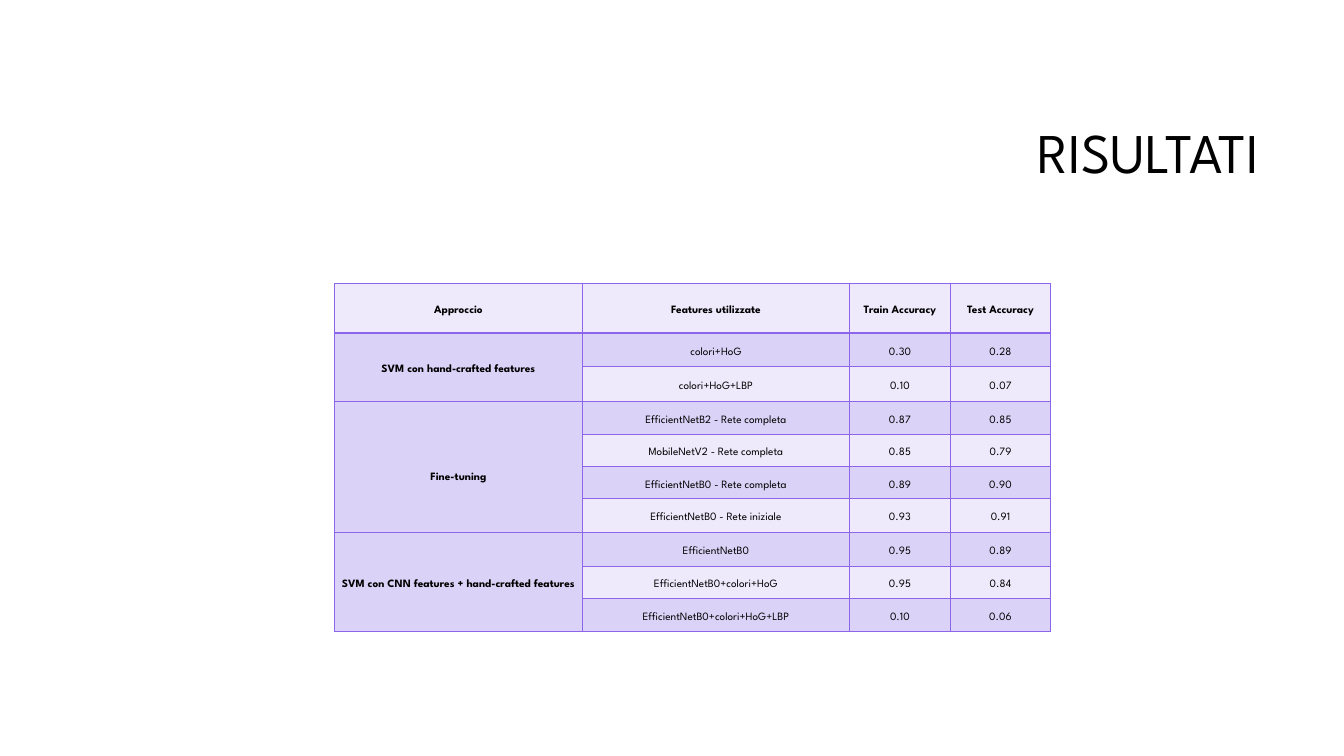
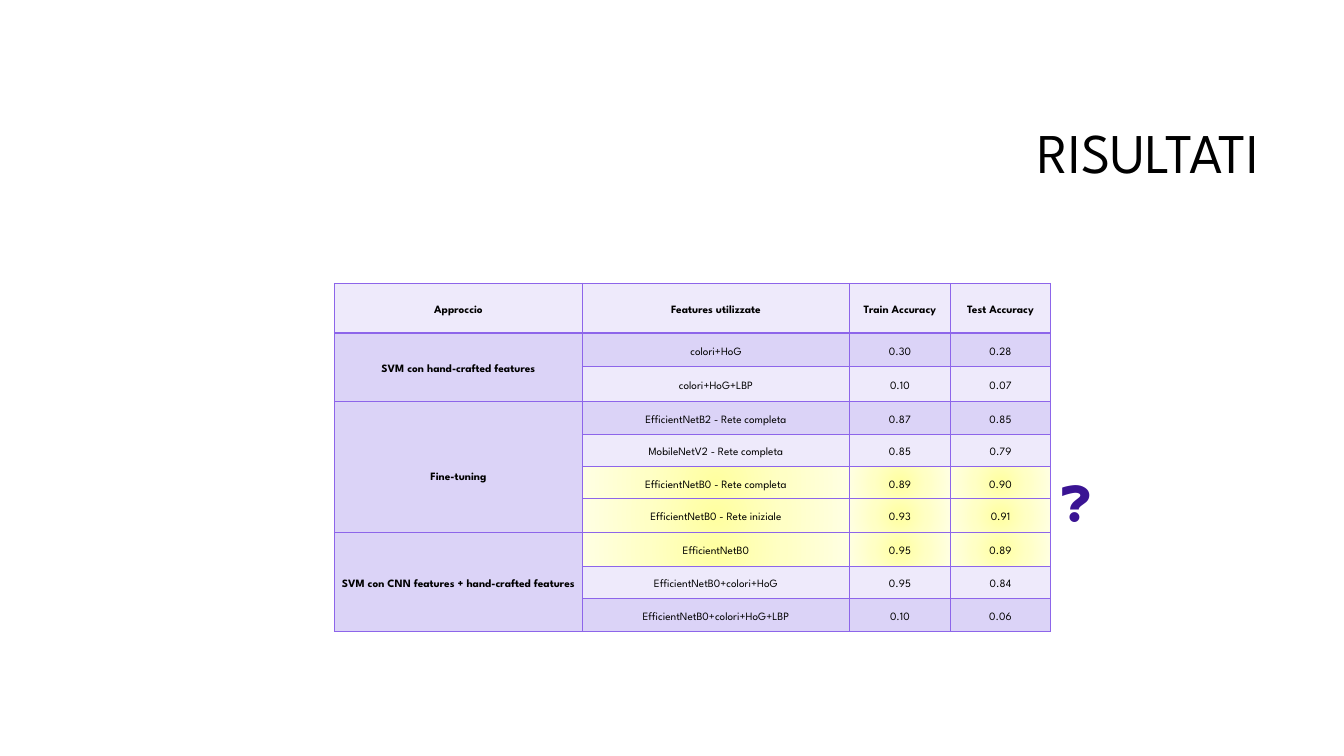
"""Build two slides of model results, the second with the best rows marked."""
from dataclasses import dataclass

from pptx import Presentation
from pptx.dml.color import RGBColor
from pptx.enum.text import MSO_ANCHOR, PP_ALIGN
from pptx.oxml import parse_xml
from pptx.oxml.ns import nsdecls
from pptx.presentation import Presentation as Deck
from pptx.slide import Slide
from pptx.table import _Cell as Cell
from pptx.text.text import TextFrame
from pptx.util import Cm, Pt

FONT = "League Spartan"
COLORS = {
    "page": "FFFFFF",
    "ink": "000000",
    "light": "EEEAFB",
    "band": "DBD3F7",
    "line": "8D65EA",
    "query": "3A1493",
    "core": "FFFFA0",
    "glow": "FFFFC5",
    "rim": "FFFFE3",
}
HEADS = ("Approccio", "Features utilizzate", "Train Accuracy", "Test Accuracy")
WIDTHS = (6.25, 6.73, 2.54, 2.53)
HEIGHTS = (1.25, 0.85, 0.87, 0.84, 0.81, 0.81, 0.85, 0.85, 0.81, 0.84)
BEST = frozenset({5, 6, 7})


@dataclass(frozen=True)
class Group:
    name: str
    rows: tuple[tuple[str, str, str], ...]
    drop: float = 0


GROUPS = (
    Group("SVM con hand-crafted features", (
        ("colori+HoG", "0.30", "0.28"),
        ("colori+HoG+LBP", "0.10", "0.07"),
    )),
    Group("Fine-tuning", (
        ("EfficientNetB2 - Rete completa", "0.87", "0.85"),
        ("MobileNetV2 - Rete completa", "0.85", "0.79"),
        ("EfficientNetB0 - Rete completa", "0.89", "0.90"),
        ("EfficientNetB0 - Rete iniziale", "0.93", "0.91"),
    ), drop=0.42),
    Group("SVM con CNN features + hand-crafted features", (
        ("EfficientNetB0", "0.95", "0.89"),
        ("EfficientNetB0+colori+HoG", "0.95", "0.84"),
        ("EfficientNetB0+colori+HoG+LBP", "0.10", "0.06"),
    )),
)


def write(frame: TextFrame, text: str, *, size: float, color: str = "ink",
          bold: bool = False, align: PP_ALIGN = PP_ALIGN.CENTER,
          space: float = 1.0) -> None:
    frame.word_wrap = True
    para = frame.paragraphs[0]
    para.alignment = align
    para.line_spacing = space
    run = para.add_run()
    run.text = text
    run.font.name = FONT
    run.font.size = Pt(size)
    run.font.bold = bold
    run.font.color.rgb = RGBColor.from_string(COLORS[color])


def add_text(slide: Slide, box: tuple[float, float, float, float],
             text: str, anchor: MSO_ANCHOR, **form) -> None:
    frame = slide.shapes.add_textbox(*map(Cm, box)).text_frame
    frame.vertical_anchor = anchor
    write(frame, text, **form)


def paint(cell: Cell, fill: str) -> None:
    props = cell._tc.get_or_add_tcPr()
    for side in ("lnL", "lnR", "lnT", "lnB"):
        props.append(parse_xml(
            f'<a:{side} {nsdecls("a")} w="{Pt(1)}"><a:solidFill>'
            f'<a:srgbClr val="{COLORS["line"]}"/></a:solidFill></a:{side}>'))
    if fill == "mark":
        stops = "".join(
            f'<a:gs pos="{pos}"><a:srgbClr val="{COLORS[name]}"/></a:gs>'
            for pos, name in ((0, "core"), (50000, "glow"), (100000, "rim")))
        props.append(parse_xml(
            f'<a:gradFill {nsdecls("a")}><a:gsLst>{stops}</a:gsLst>'
            '<a:path path="circle"><a:fillToRect l="50000" t="50000" '
            'r="50000" b="50000"/></a:path></a:gradFill>'))
    else:
        cell.fill.solid()
        cell.fill.fore_color.rgb = RGBColor.from_string(COLORS[fill])


def fill_cell(cell: Cell, text: str, fill: str, bold: bool = False,
              drop: float = 0) -> None:
    cell.margin_left = cell.margin_right = Cm(0.18)
    cell.margin_top, cell.margin_bottom = Cm(drop), 0
    cell.vertical_anchor = MSO_ANCHOR.MIDDLE
    paint(cell, fill)
    if text:
        write(cell.text_frame, text, size=8, bold=bold, space=1.5)


def add_grid(slide: Slide, marks: frozenset[int]) -> None:
    table = slide.shapes.add_table(
        len(HEIGHTS), len(WIDTHS), Cm(8.43), Cm(7.14),
        Cm(sum(WIDTHS)), Cm(sum(HEIGHTS))).table
    table.first_row = table.horz_banding = False
    for col, width in zip(table.columns, WIDTHS):
        col.width = Cm(width)
    for row, height in zip(table.rows, HEIGHTS):
        row.height = Cm(height)
    for col, head in enumerate(HEADS):
        fill_cell(table.cell(0, col), head, "light", bold=True)
    top = 1
    for group in GROUPS:
        for row, values in enumerate(group.rows, top):
            name = group.name if row == top else ""
            fill_cell(table.cell(row, 0), name, "band", True, group.drop)
            fill = "mark" if row in marks else "band" if row % 2 else "light"
            for col, value in enumerate(values, 1):
                fill_cell(table.cell(row, col), value, fill)
        last = top + len(group.rows) - 1
        table.cell(top, 0).merge(table.cell(last, 0))
        top = last + 1


def add_page(deck: Deck, marks: frozenset[int] = frozenset()) -> Slide:
    slide = deck.slides.add_slide(deck.slide_layouts[6])
    back = slide.background.fill
    back.solid()
    back.fore_color.rgb = RGBColor.from_string(COLORS["page"])
    add_text(slide, (8.05, 2.13, 23.93, 3.58), "RISULTATI", MSO_ANCHOR.MIDDLE,
             size=40, align=PP_ALIGN.RIGHT, space=0.9)
    add_grid(slide, marks)
    return slide


def main() -> None:
    deck = Presentation()
    deck.slide_width, deck.slide_height = Cm(33.87), Cm(19.05)
    add_page(deck)
    slide = add_page(deck, BEST)
    add_text(slide, (26.47, 11.79, 1.5, 1.63), "❓", MSO_ANCHOR.TOP,
             size=32, color="query", align=PP_ALIGN.LEFT)
    deck.save("out.pptx")


if __name__ == "__main__":
    main()
